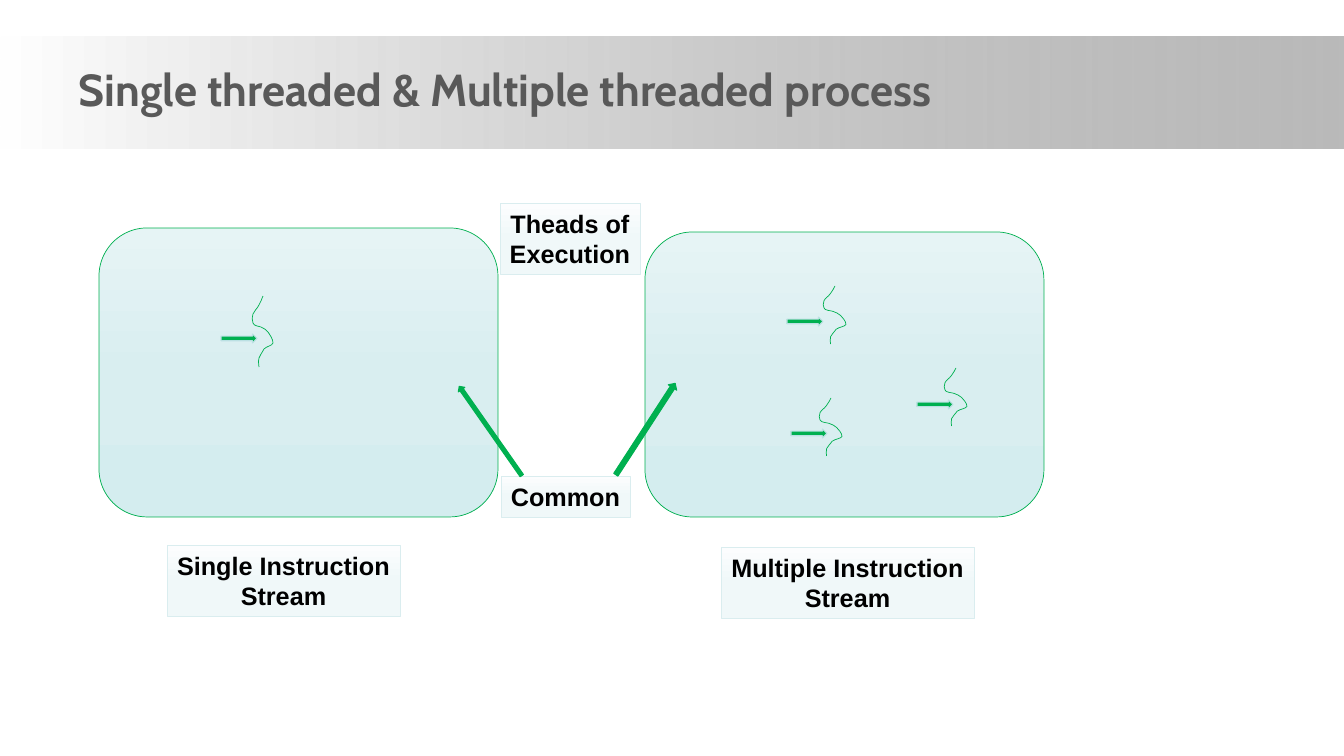
import pptx
import pptx.dml.color
import pptx.enum.shapes
import pptx.enum.text
import pptx.oxml
import pptx.oxml.ns
import pptx.util

PX = 914400 / 100.8
SHAPES = pptx.enum.shapes.MSO_SHAPE
ALIGN = pptx.enum.text.PP_ALIGN
AUTO_SIZE = pptx.enum.text.MSO_AUTO_SIZE

COLORS = {
    "white": "FFFFFF",
    "band": "808080",
    "title": "595959",
    "text": "000000",
    "green": "00B050",
    "pointer_edge": "BBE0E3",
    "label_edge": "DAEDEF",
}
PROCESS_STOPS = [(0, "E6F4F5", 100), (50, "D9EEF0", 100), (100, "D4EDEF", 100)]
LABEL_STOPS = [(0, "FCFDFE", 100), (50, "F0F8F9", 100), (100, "EEF7F8", 100)]
BAND_STOPS = [(0, COLORS["white"], 100), (100, COLORS["band"], 54)]

# Bezier points of a thread in a box of THREAD_SIZE: a start, then three per curve.
THREAD_SIZE = (21, 71)
THREAD_POINTS = [
    (11, 0),
    (10, 2), (9, 6), (7, 9),
    (5, 13), (2, 15), (1, 18),
    (0, 22), (0, 24), (1, 27),
    (2, 30), (6, 30), (9, 31),
    (12, 33), (14, 33), (16, 36),
    (18, 39), (21, 43), (21, 47),
    (20, 50), (15, 50), (12, 53),
    (10, 57), (8, 59), (7, 62),
    (6, 66), (7, 69), (7, 71),
]


def emu(px):
    return pptx.util.Emu(round(px * PX))


def rgb(name):
    return pptx.dml.color.RGBColor.from_string(COLORS[name])


def set_line(shape, color, width):
    shape.line.color.rgb = rgb(color)
    shape.line.width = pptx.util.Pt(width)


def set_gradient(shape, stops, angle):
    """Fill with (percent, hex, opacity percent) stops, angle in clockwise degrees."""
    stop_xml = "".join(
        f'<a:gs pos="{pos * 1000}"><a:srgbClr val="{color}">'
        f'<a:alpha val="{opacity * 1000}"/></a:srgbClr></a:gs>'
        for pos, color, opacity in stops
    )
    gradient = pptx.oxml.parse_xml(
        f'<a:gradFill {pptx.oxml.ns.nsdecls("a")} rotWithShape="1">'
        f'<a:gsLst>{stop_xml}</a:gsLst>'
        f'<a:lin ang="{angle * 60000}" scaled="0"/></a:gradFill>'
    )
    geometry = shape.element.spPr.find(pptx.oxml.ns.qn("a:prstGeom"))
    geometry.addnext(gradient)


def add_block(slide, preset, left, top, width, height):
    block = slide.shapes.add_shape(preset, emu(left), emu(top), emu(width), emu(height))
    block.shadow.inherit = False
    return block


def write(shape, text, size=18, font="Arial", color="text", align=ALIGN.CENTER):
    shape.text_frame.text = text
    for paragraph in shape.text_frame.paragraphs:
        paragraph.alignment = align
        for run in paragraph.runs:
            run.font.size = pptx.util.Pt(size)
            run.font.name = font
            run.font.bold = True
            run.font.color.rgb = rgb(color)


def add_title(slide, text):
    band = add_block(slide, SHAPES.RECTANGLE, 0, 37, 1344, 112)
    set_gradient(band, BAND_STOPS, 0)
    band.line.fill.background()
    title = slide.shapes.add_textbox(emu(69), emu(56), emu(1190), emu(64))
    title.text_frame.word_wrap = True
    title.text_frame.margin_top = emu(2)
    title.text_frame.margin_bottom = 0
    title.text_frame.vertical_anchor = pptx.enum.text.MSO_ANCHOR.MIDDLE
    write(title, text, size=32, font="Cabin", color="title", align=ALIGN.LEFT)


def add_process(slide, left, top, width, height):
    process = add_block(slide, SHAPES.ROUNDED_RECTANGLE, left, top, width, height)
    set_gradient(process, PROCESS_STOPS, 90)
    set_line(process, "green", 0.5)


def bend_segments(shape):
    """Turn every three straight segments into one cubic curve."""
    segments = list(shape.element.iter(pptx.oxml.ns.qn("a:lnTo")))
    for start in range(0, len(segments), 3):
        curve = pptx.oxml.parse_xml(f'<a:cubicBezTo {pptx.oxml.ns.nsdecls("a")}/>')
        segments[start].addprevious(curve)
        for segment in segments[start:start + 3]:
            curve.append(segment[0])
            segment.getparent().remove(segment)


def add_thread(slide, left, top, width, height):
    vertices = [
        (emu(left + x * width / THREAD_SIZE[0]), emu(top + y * height / THREAD_SIZE[1]))
        for x, y in THREAD_POINTS
    ]
    builder = slide.shapes.build_freeform(*vertices[0])
    builder.add_line_segments(vertices[1:], close=False)
    thread = builder.convert_to_shape()
    bend_segments(thread)
    thread.shadow.inherit = False
    thread.fill.background()
    set_line(thread, "green", 0.5)


def add_arrow(slide, preset, left, top, width, height, edge="green", rotation=0):
    arrow = add_block(slide, preset, left, top, width, height)
    arrow.rotation = rotation
    arrow.fill.solid()
    arrow.fill.fore_color.rgb = rgb("green")
    set_line(arrow, edge, 0.75)


def add_label(slide, text, left, top, width, height):
    label = add_block(slide, SHAPES.RECTANGLE, left, top, width, height)
    set_gradient(label, LABEL_STOPS, 90)
    set_line(label, "label_edge", 0.5)
    label.text_frame.word_wrap = False
    label.text_frame.auto_size = AUTO_SIZE.SHAPE_TO_FIT_TEXT
    label.text_frame.margin_left = label.text_frame.margin_right = emu(5)
    write(label, text)


def main():
    deck = pptx.Presentation()
    deck.slide_width, deck.slide_height = emu(1344), emu(756)
    slide = deck.slides.add_slide(deck.slide_layouts[6])

    add_title(slide, "Single threaded & Multiple threaded process")
    add_process(slide, 645, 232, 399, 285)
    add_process(slide, 99, 228, 399, 289)

    # Each thread box is followed by the place of the arrow that points to it.
    for thread, pointer in [
        ((252, 296, 21, 71), (221, 334)),
        ((823, 286, 23, 58), (787, 317)),
        ((819, 398, 23, 58), (791, 429)),
        ((944, 368, 23, 58), (917, 400)),
    ]:
        add_thread(slide, *thread)
        add_arrow(slide, SHAPES.RIGHT_ARROW, *pointer, 36, 9, edge="pointer_edge")

    add_label(slide, "Theads of\nExecution", 500, 203, 140, 71)
    add_label(slide, "Common", 501, 476, 129, 41)
    add_label(slide, "Single Instruction\nStream", 167, 545, 233, 71)
    add_label(slide, "Multiple Instruction\nStream", 721, 547, 253, 71)

    add_arrow(slide, SHAPES.LEFT_ARROW, 436, 427, 109, 8, rotation=55)
    add_arrow(slide, SHAPES.LEFT_ARROW, 591, 424, 109, 10, rotation=123)
    deck.save("out.pptx")


if __name__ == "__main__":
    main()
